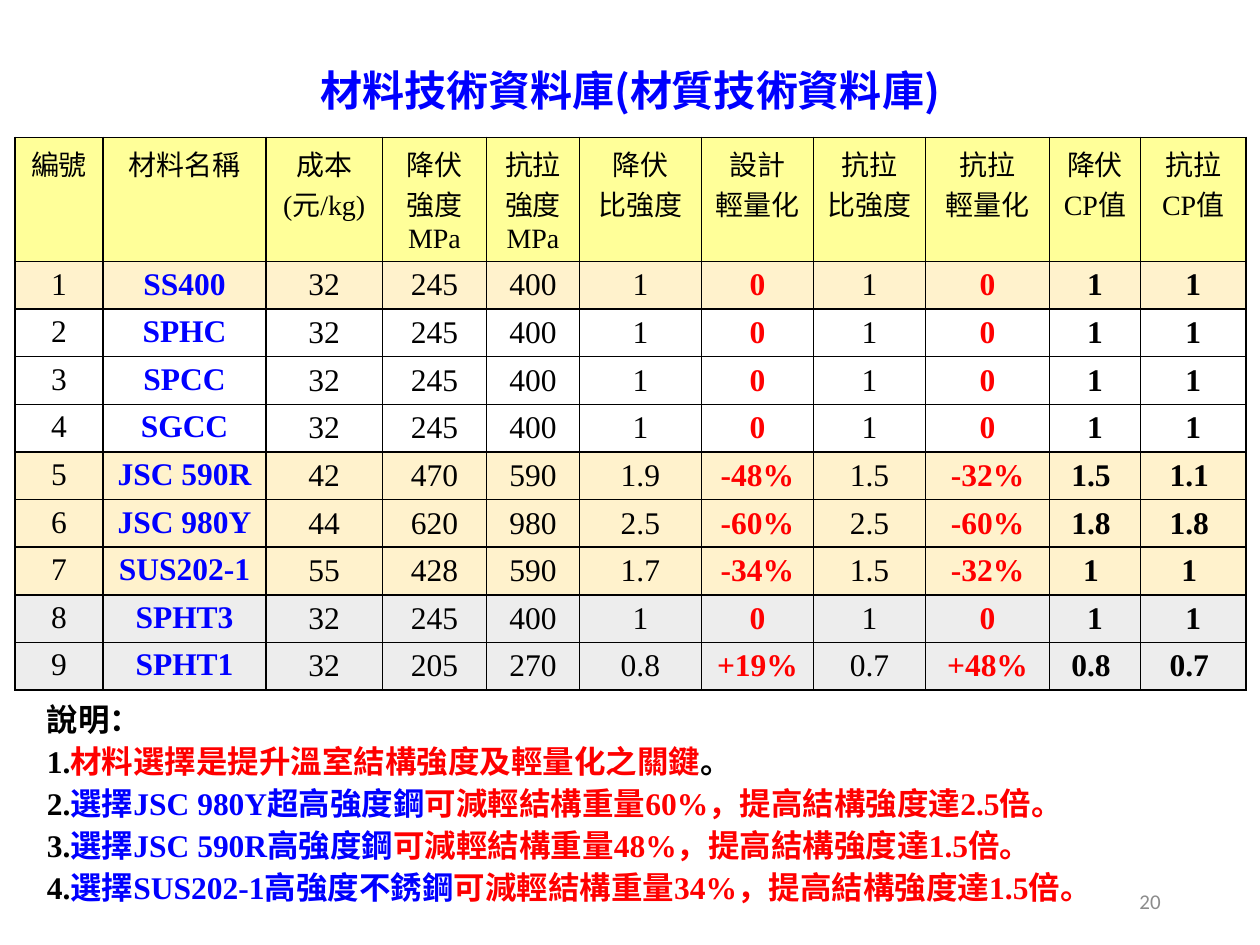
from typing import NamedTuple

from lxml.etree import SubElement
from pptx import Presentation
from pptx.dml.color import RGBColor
from pptx.enum.text import MSO_ANCHOR, MSO_AUTO_SIZE, PP_ALIGN
from pptx.oxml.ns import qn
from pptx.util import Cm, Pt

COLORS = {
    "black": "000000", "blue": "0000FF", "red": "FF0000", "number": "8C8C8C",
    "header": "FFFF99", "cream": "FFF2CC", "gray": "EDEDED", "white": "FFFFFF",
}
SERIF = "Times New Roman"


class Column(NamedTuple):
    heading: str
    width: float
    color: str = "black"
    bold: bool = False
    margin: float = 0.25


class Material(NamedTuple):
    fill: str
    values: tuple


class Note(NamedTuple):
    label: str
    subject: str = ""
    result: str = ""
    ending: str = ""


COLUMNS = [
    Column("編號", 1.78),
    Column("材料名稱", 3.28, "blue", True),
    Column("成本\n(元/kg)", 2.35),
    Column("降伏強度MPa", 2.1),
    Column("抗拉強度MPa", 1.87),
    Column("降伏\n比強度", 2.46),
    Column("設計\n輕量化", 2.26, "red", True),
    Column("抗拉\n比強度", 2.26),
    Column("抗拉\n輕量化", 2.5, "red", True),
    Column("降伏CP值", 1.83, "black", True, 0.02),
    Column("抗拉\nCP值", 2.13, "black", True, 0.02),
]
MATERIALS = [
    Material("cream", ("SS400", "32", "245", "400", "1", "0", "1", "0", "1", "1")),
    Material("white", ("SPHC", "32", "245", "400", "1", "0", "1", "0", "1", "1")),
    Material("white", ("SPCC", "32", "245", "400", "1", "0", "1", "0", "1", "1")),
    Material("white", ("SGCC", "32", "245", "400", "1", "0", "1", "0", "1", "1")),
    Material("cream", ("JSC 590R", "42", "470", "590", "1.9", "-48%", "1.5", "-32%", "1.5 ", "1.1 ")),
    Material("cream", ("JSC 980Y", "44", "620", "980", "2.5", "-60%", "2.5", "-60%", "1.8 ", "1.8 ")),
    Material("cream", ("SUS202-1", "55", "428", "590", "1.7", "-34%", "1.5", "-32%", "1 ", "1 ")),
    Material("gray", ("SPHT3", "32", "245", "400", "1", "0", "1", "0", "1", "1")),
    Material("gray", ("SPHT1", "32", "205", "270", "0.8", "+19%", "0.7", "+48%", "0.8 ", "0.7 ")),
]
NOTES = [
    Note("說明："),
    Note("1.", result="材料選擇是提升溫室結構強度及輕量化之關鍵", ending="。"),
    Note("2.", "選擇JSC 980Y超高強度鋼", "可減輕結構重量60%，提高結構強度達2.5倍。"),
    Note("3.", "選擇JSC 590R高強度鋼", "可減輕結構重量48%，提高結構強度達1.5倍。"),
    Note("4.", "選擇SUS202-1高強度不銹鋼", "可減輕結構重量34%，提高結構強度達1.5倍。"),
]


def rgb(name: str) -> RGBColor:
    return RGBColor.from_string(COLORS[name])


def set_font(font, name: str, size: float, color: str, bold: bool = False) -> None:
    font.name, font.size, font.bold = name, Pt(size), bold
    font.color.rgb = rgb(color)


def place(shape, left: float, top: float, width: float, height: float) -> None:
    shape.left, shape.top, shape.width, shape.height = map(Cm, (left, top, width, height))


def add_borders(cell) -> None:
    properties = cell._tc.get_or_add_tcPr()
    for position, side in enumerate(("lnL", "lnR", "lnT", "lnB")):
        line = SubElement(properties, qn(f"a:{side}"), w=str(Pt(1)))
        properties.insert(position, line)
        fill = SubElement(line, qn("a:solidFill"))
        SubElement(fill, qn("a:srgbClr"), val=COLORS["black"])


def fill_cell(cell, text: str, fill: str, size: float, color: str = "black",
              bold: bool = False, margin: float = 0.25, middle: bool = False) -> None:
    cell.text = text
    cell.fill.solid()
    cell.fill.fore_color.rgb = rgb(fill)
    cell.margin_left = cell.margin_right = Cm(margin)
    cell.margin_top = cell.margin_bottom = Cm(0.11)
    if middle:
        cell.vertical_anchor = MSO_ANCHOR.MIDDLE
    for para in cell.text_frame.paragraphs:
        para.alignment = PP_ALIGN.CENTER
        set_font(para.font, SERIF, size, color, bold)
    add_borders(cell)


def add_material_table(page) -> None:
    frame = page.shapes.add_table(len(MATERIALS) + 1, len(COLUMNS),
                                  Cm(0.3), Cm(2.77), Cm(24.82), Cm(11.14))
    table = frame.table
    for row in table.rows:
        row.height = Cm(0.96)
    table.rows[0].height = Cm(2.5)
    for index, column in enumerate(COLUMNS):
        table.columns[index].width = Cm(column.width)
        fill_cell(table.cell(0, index), column.heading, "header", 16)
    for number, material in enumerate(MATERIALS, 1):
        values = (str(number), *material.values)
        for index, (column, value) in enumerate(zip(COLUMNS, values)):
            fill_cell(table.cell(number, index), value, material.fill, 18,
                      column.color, column.bold, column.margin, index > 1)


def write_notes(body) -> None:
    place(body, 0.69, 14.12, 24.05, 4.93)
    box = body.text_frame
    box.auto_size = MSO_AUTO_SIZE.NONE
    for index, note in enumerate(NOTES):
        para = box.add_paragraph() if index else box.paragraphs[0]
        properties = para._p.get_or_add_pPr()
        properties.set("marL", str(Cm(0.5)))
        properties.set("indent", str(-Cm(0.5)))
        SubElement(properties, qn("a:buNone"))
        para.line_spacing = 0.83
        para.space_before = Pt(6 if index else 0)
        set_font(para.font, SERIF, 18, "black", True)
        for text, color in zip(note, ("black", "blue", "red", "black")):
            if text:
                span = para.add_run()
                span.text = text
                set_font(span.font, SERIF, 18, color, True)


def write_line(shape, text: str, alignment: PP_ALIGN) -> object:
    """Put one centred-anchor line in the shape and return its font."""
    box = shape.text_frame
    box.word_wrap = True
    box.auto_size = MSO_AUTO_SIZE.NONE
    box.vertical_anchor = MSO_ANCHOR.MIDDLE
    box.text = text
    box.paragraphs[0].alignment = alignment
    return box.paragraphs[0].font


def main() -> None:
    deck = Presentation()
    deck.slide_width, deck.slide_height = Cm(25.4), Cm(19.05)
    page = deck.slides.add_slide(deck.slide_layouts[1])
    add_material_table(page)
    write_notes(page.placeholders[1])

    number = page.shapes.add_textbox(Cm(17.93), Cm(17.65), Cm(5.72), Cm(1.02))
    set_font(write_line(number, "20", PP_ALIGN.RIGHT), "Calibri", 12, "number")

    title = page.shapes.title
    place(title, 0, 0.86, 25.4, 1.88)
    font = write_line(title, "材料技術資料庫(材質技術資料庫)", PP_ALIGN.CENTER)
    set_font(font, "Noto Sans CJK SC", 24, "blue", True)
    deck.save("out.pptx")


if __name__ == "__main__":
    main()
